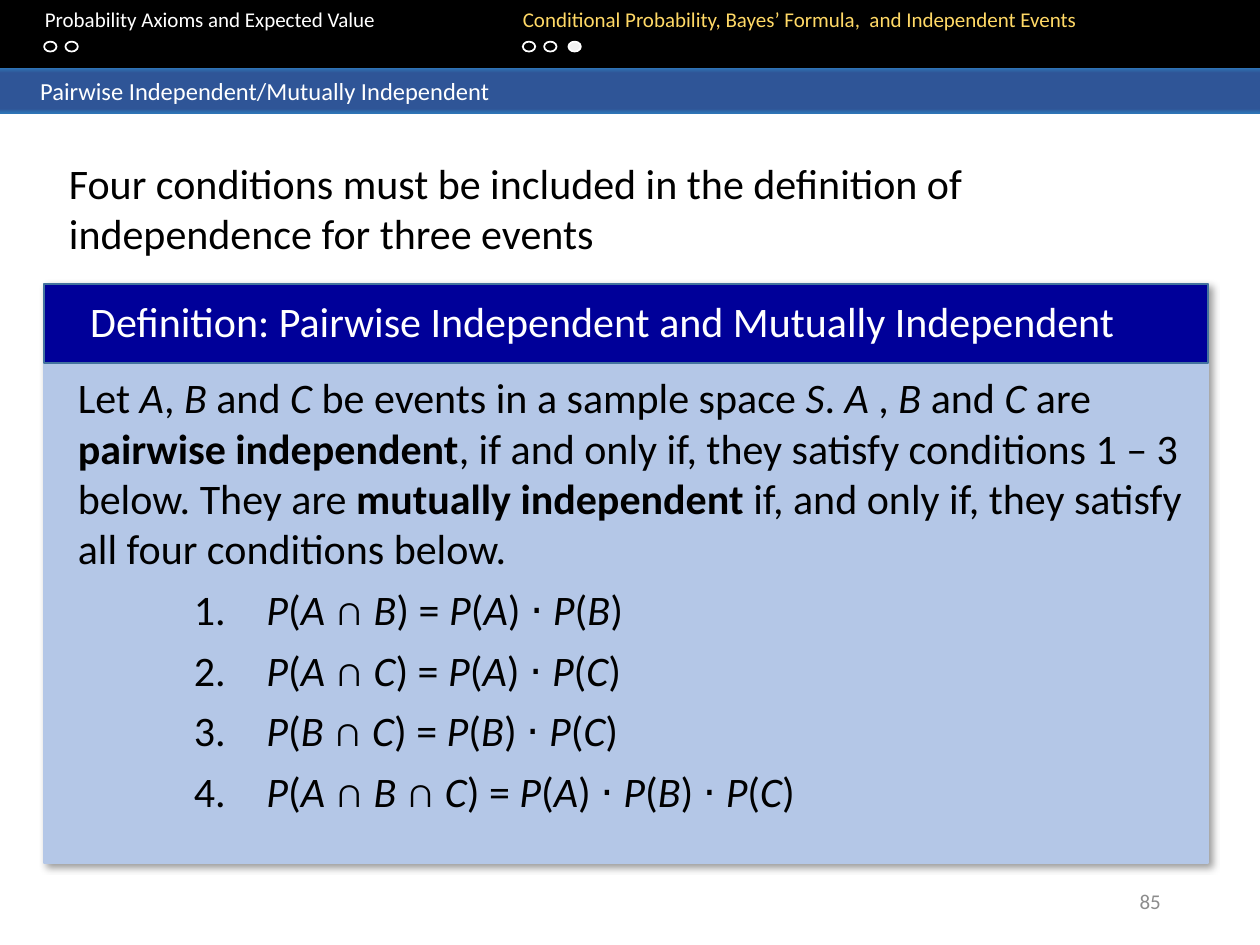
from lxml import etree
from pptx import Presentation
from pptx.dml.color import RGBColor
from pptx.enum.shapes import MSO_SHAPE
from pptx.enum.text import MSO_ANCHOR, PP_ALIGN
from pptx.oxml.ns import qn
from pptx.util import Cm, Pt

RECT, OVAL = MSO_SHAPE.RECTANGLE, MSO_SHAPE.OVAL
TOP, MID = MSO_ANCHOR.TOP, MSO_ANCHOR.MIDDLE
LEFT, RIGHT = PP_ALIGN.LEFT, PP_ALIGN.RIGHT

COLORS = {
    "black": "000000", "white": "FFFFFF", "pale": "F2F2F2",
    "gold": "FFD966", "gray": "8C8C8C", "edge": "2E75B6",
    "blue": "2F5597", "sky": "B4C7E7", "navy": "000099", "rim": "43739E",
}


def node(root, tag, **attrs):
    """Append one drawing element with its attributes."""
    return etree.SubElement(root, qn(tag), {k: str(v) for k, v in attrs.items()})


class Deck:
    font = "Calibri"

    def __init__(self, slide):
        self.slide = slide

    def color(self, name):
        return RGBColor.from_string(COLORS[name])

    def shape(self, kind, box, fill=None, line=None):
        item = self.slide.shapes.add_shape(kind, *map(Cm, box))
        item.shadow.inherit = False
        if fill:
            item.fill.solid()
            item.fill.fore_color.rgb = self.color(fill)
        else:
            item.fill.background()
        if line:
            item.line.color.rgb = self.color(line)
            item.line.width = Pt(1)
        else:
            item.line.fill.background()
        return item

    def blend(self, item, stops):
        """Fill a shape from top to bottom; stops are (percent, color)."""
        props = item._element.spPr
        props.remove(props.find(qn("a:noFill")))
        grad = node(props, "a:gradFill", rotWithShape=1)
        parts = node(grad, "a:gsLst")
        for pos, name in stops:
            stop = node(parts, "a:gs", pos=pos * 1000)
            node(stop, "a:srgbClr", val=COLORS[name])
        node(grad, "a:lin", ang=90 * 60000, scaled=0)
        props.find(qn("a:prstGeom")).addnext(grad)

    def shade(self, item):
        """Drop a soft shadow to the lower right."""
        effects = item._element.spPr.find(qn("a:effectLst"))
        drop = node(effects, "a:outerShdw", blurRad=Pt(4), dist=Pt(3),
                    dir=45 * 60000, algn="tl", rotWithShape=0)
        tint = node(drop, "a:srgbClr", val=COLORS["black"])
        node(tint, "a:alpha", val=40000)

    def text(self, box, lines, size=24, color="black", align=LEFT,
             anchor=TOP, after=0):
        """Add lines of text; *x* is italic and **x** is bold."""
        item = self.slide.shapes.add_textbox(*map(Cm, box))
        frame = item.text_frame
        frame.word_wrap = True
        frame.vertical_anchor = anchor
        frame.text = "\n".join(lines)
        for para in frame.paragraphs:
            para.alignment = align
            para.space_after = Pt(after)
            self.style(para, size, color)
        return frame

    def style(self, para, size, color):
        marked = para.text
        para.clear()
        for i, chunk in enumerate(marked.split("**")):
            for j, piece in enumerate(chunk.split("*")):
                if piece:
                    run = para.add_run()
                    run.text = piece
                    run.font.name = self.font
                    run.font.size = Pt(size)
                    run.font.bold = i % 2 == 1
                    run.font.italic = j % 2 == 1
                    run.font.color.rgb = self.color(color)

    def tabs(self, para, stops):
        group = node(para._p.get_or_add_pPr(), "a:tabLst")
        for stop in stops:
            node(group, "a:tab", pos=Cm(stop), algn="l")

    def number(self, para, indent):
        props = para._p.get_or_add_pPr()
        props.set("marL", str(Cm(indent)))
        props.set("indent", str(-Cm(indent)))
        node(props, "a:buFont", typeface=self.font)
        node(props, "a:buAutoNum", type="arabicPeriod")

    def dots(self, lefts, full=None):
        for left in lefts:
            fill = "pale" if left == full else None
            self.shape(OVAL, (left, 0.84, 0.25, 0.2), fill, "white")


def rule(events):
    """Product rule for a string of event letters."""
    joint = " ∩ ".join(f"*{e}*" for e in events)
    parts = " ⋅ ".join(f"*P*(*{e}*)" for e in events)
    return f" *P*({joint}) = {parts}"


def main():
    prs = Presentation()
    prs.slide_width, prs.slide_height = Cm(25.4), Cm(19.05)
    deck = Deck(prs.slides.add_slide(prs.slide_layouts[6]))

    # Section bar
    deck.shape(RECT, (0, -0.05, 25.4, 1.42), "black")
    frame = deck.text((0, 0, 25.4, 1.27), [
        "\t Probability Axioms and Expected Value\t"
        "\tConditional Probability, Bayes’ Formula,  and Independent Events"],
        12, "white")
    para = frame.paragraphs[0]
    deck.tabs(para, (0.56, 8.41, 10.29))
    # The current section stands out in gold
    start, _, now = para.runs[0].text.rpartition("\t")
    para.runs[0].text = start
    run = para.add_run()
    run.text = "\t" + now
    run.font.name, run.font.size = deck.font, Pt(12)
    run.font.color.rgb = deck.color("gold")

    # Page number
    deck.text((17.93, 17.65, 5.72, 1.02), ["85"], 12, "gray", RIGHT, MID)

    # Title bar
    bar = deck.shape(RECT, (0, 1.37, 25.4, 0.91))
    deck.blend(bar, ((0, "edge"), (11, "blue"), (91, "blue"), (100, "edge")))
    frame = deck.text((0, 1.37, 25.4, 0.91),
                      ["\tPairwise Independent/Mutually Independent"],
                      14, "white", anchor=MID)
    deck.tabs(frame.paragraphs[0], (0.56,))

    # Progress dots
    deck.dots((0.89, 1.32))
    deck.dots((10.54, 10.97, 11.46), full=11.46)

    # Lead sentence
    deck.text((1.14, 3.05, 21.26, 2.39), [
        "Four conditions must be included in the definition of "
        "independence for three events"])

    # Definition panel
    panel = deck.shape(RECT, (0.89, 5.72, 23.47, 11.68), "sky", "sky")
    deck.shade(panel)
    deck.shape(RECT, (0.89, 5.72, 23.47, 1.6), "navy", "rim")
    deck.text((1.57, 5.84, 22.07, 1.27),
              ["Definition: Pairwise Independent and Mutually Independent"],
              color="white")
    deck.text((1.32, 7.37, 22.8, 4.37), [
        "Let *A*, *B* and *C* be events in a sample space *S*. "
        "*A* , *B* and *C* are **pairwise independent**, if and only if, "
        "they satisfy conditions 1 – 3 below. They are "
        "**mutually independent **if, and only if, they satisfy all four "
        "conditions below."], after=6)

    # Numbered conditions
    frame = deck.text((3.66, 11.63, 16.51, 5),
                      [rule(e) for e in ("AB", "AC", "BC", "ABC")], after=6)
    for para in frame.paragraphs:
        deck.number(para, 1.27)

    prs.save("out.pptx")


if __name__ == "__main__":
    main()
